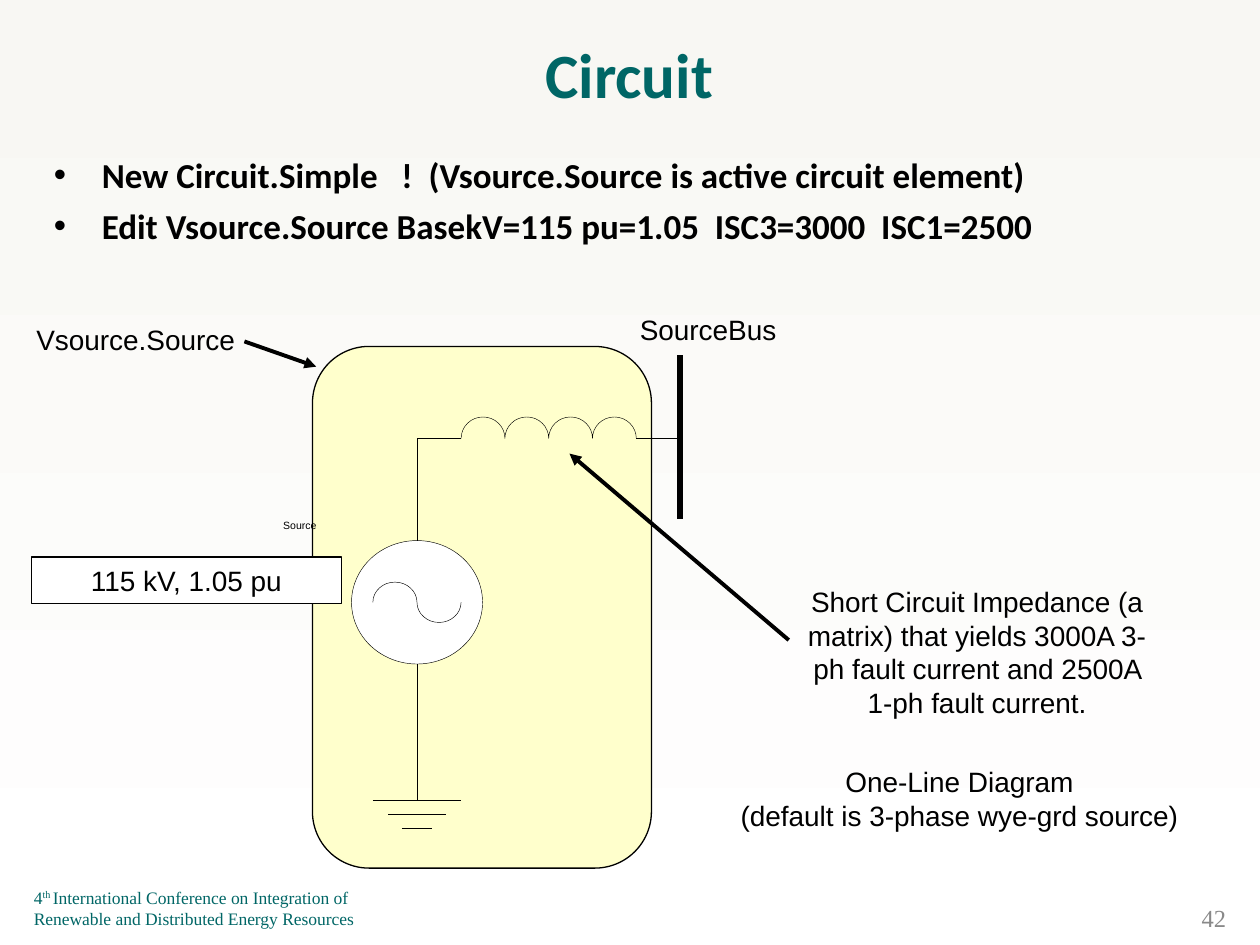
"""Builds the slide that explains the circuit source in a one-line diagram."""
from dataclasses import dataclass
from math import cos, pi, sin

from lxml.etree import SubElement
from pptx import Presentation
from pptx.dml.color import RGBColor
from pptx.enum.shapes import MSO_CONNECTOR as Link, MSO_SHAPE as Preset
from pptx.enum.text import MSO_ANCHOR as Anchor, PP_ALIGN as Align
from pptx.oxml.ns import qn
from pptx.util import Inches, Pt


@dataclass(frozen=True)
class Theme:
    ink: str = "000000"
    teal: str = "006666"
    grey: str = "898989"
    panel: str = "FFFFCC"
    white: str = "FFFFFF"
    cream: str = "F8F7F3"
    heading: str = "Calibri"
    label: str = "Arial"
    footer: str = "Times New Roman"
    thin: float = 0.25
    outline: float = 0.75
    arrow: float = 2.25
    bus: float = 3.37


THEME = Theme()
WIDTH, HEIGHT = 10, 7.5
TITLE = "Circuit"
COMMANDS = [
    "New Circuit.Simple   !  (Vsource.Source is active circuit element)",
    "Edit Vsource.Source BasekV=115 pu=1.05  ISC3=3000  ISC1=2500",
]
LABELS = [
    ("SourceBus", (4.39, 2.43, 2.46, 0.37), Align.CENTER),
    ("Vsource.Source", (0.19, 2.51, 2.46, 0.37), Align.LEFT),
    ("Short Circuit Impedance (a matrix) that yields 3000A 3-ph fault current "
     "and 2500A 1-ph fault current.", (6.23, 4.59, 3.05, 1.17), Align.CENTER),
    ("One-Line Diagram\v(default is 3-phase wye-grd source)",
     (5.54, 6.02, 4.15, 0.64), Align.CENTER),
]
RATING = ("115 kV, 1.05 pu", (0.25, 4.42, 2.46, 0.37))
CONFERENCE = [
    [("4", False), ("th ", True), ("International Conference on Integration of", False)],
    [("Renewable and Distributed Energy Resources", False)],
]
PAGE = "42"

AXIS, FEED, BUS = 3.31, 3.48, 5.4
PITCH, COIL_TURNS = 0.35, 4
SOURCE_Y, RADIUS_X, RADIUS_Y = 4.78, 0.52, 0.49
COIL_LEFT = AXIS + PITCH
COIL_RIGHT = COIL_LEFT + COIL_TURNS * PITCH - 0.01
GROUND_Y, GROUND_STEP, GROUND_HALVES = 6.35, 0.11, (0.35, 0.23, 0.12)
WIRES = [
    ((AXIS, FEED), (COIL_LEFT, FEED)),
    ((COIL_RIGHT, FEED), (BUS, FEED)),
    ((AXIS, FEED), (AXIS, SOURCE_Y - RADIUS_Y)),
    ((AXIS, SOURCE_Y + RADIUS_Y), (AXIS, GROUND_Y)),
] + [
    ((AXIS - half, GROUND_Y + row * GROUND_STEP), (AXIS + half, GROUND_Y + row * GROUND_STEP))
    for row, half in enumerate(GROUND_HALVES)
]
ARROWS = [((6.26, 5.08), (4.52, 3.6)), ((1.94, 2.71), (2.51, 2.91))]


def inches(values):
    return [Inches(value) for value in values]


def style(font, size, face, color, bold=False):
    font.size, font.name, font.bold = Pt(size), face, bold
    font.color.rgb = RGBColor.from_string(color)


def add_text(slide, text, area, size, face, color=THEME.ink, align=Align.LEFT, anchor=Anchor.TOP):
    frame = slide.shapes.add_textbox(*inches(area)).text_frame
    frame.word_wrap, frame.vertical_anchor = True, anchor
    frame.text = text
    for paragraph in frame.paragraphs:
        paragraph.alignment = align
        for run in paragraph.runs:
            style(run.font, size, face, color)
    return frame


def paint(shape, fill, width=THEME.outline):
    shape.shadow.inherit = False
    if fill:
        shape.fill.solid()
        shape.fill.fore_color.rgb = RGBColor.from_string(fill)
    else:
        shape.fill.background()
    shape.line.color.rgb = RGBColor.from_string(THEME.ink)
    shape.line.width = Pt(width)


def add_preset(slide, preset, area, fill, width=THEME.outline):
    shape = slide.shapes.add_shape(preset, *inches(area))
    paint(shape, fill, width)
    return shape


def add_wire(slide, start, end, width=THEME.thin, arrow=False):
    wire = slide.shapes.add_connector(Link.STRAIGHT, *inches(start + end))
    wire.line.color.rgb = RGBColor.from_string(THEME.ink)
    wire.line.width = Pt(width)
    if arrow:
        SubElement(wire.line._get_or_add_ln(), qn("a:tailEnd"), type="triangle")
    SubElement(wire._element.spPr, qn("a:effectLst"))


def add_wave(slide, left, baseline, right, rise, directions, steps=16):
    pitch = (right - left) / len(directions)
    points = [
        inches((left + pitch * (index + (1 - cos(pi * step / steps)) / 2),
                baseline - sign * rise * sin(pi * step / steps)))
        for index, sign in enumerate(directions)
        for step in range(steps + 1)
    ]
    outline = slide.shapes.build_freeform(*points[0])
    outline.add_line_segments(points[1:], close=False)
    paint(outline.convert_to_shape(), None, THEME.thin)


def add_background(slide):
    fill = slide.background.fill
    fill.gradient()
    fill.gradient_angle = 270
    for stop, color in zip(fill.gradient_stops, (THEME.cream, THEME.white)):
        stop.color.rgb = RGBColor.from_string(color)


def add_title(slide):
    title = slide.shapes.title
    title.left, title.top, title.width, title.height = inches((0.33, 0.17, 9.33, 0.83))
    title.text_frame.text = TITLE
    title.text_frame.vertical_anchor = Anchor.MIDDLE
    heading = title.text_frame.paragraphs[0]
    heading.alignment = Align.CENTER
    style(heading.runs[0].font, 36, THEME.heading, THEME.teal, bold=True)


def add_commands(slide):
    frame = add_text(slide, "\n".join(COMMANDS), (0.33, 1.17, 9.33, 0.9), 20, THEME.heading)
    for index, paragraph in enumerate(frame.paragraphs):
        properties = paragraph._p.get_or_add_pPr()
        properties.set("marL", str(Inches(0.38)))
        properties.set("indent", str(-Inches(0.38)))
        SubElement(properties, qn("a:buFont"), typeface=THEME.label)
        SubElement(properties, qn("a:buChar"), char="•")
        paragraph.space_before = Pt(5 if index else 0)
        paragraph.runs[0].font.bold = True


def add_footer(slide):
    lines = "\n".join("".join(text for text, _ in line) for line in CONFERENCE)
    frame = add_text(slide, lines, (0.17, 7, 3.17, 0.42), 10, THEME.footer, THEME.teal,
                     anchor=Anchor.BOTTOM)
    for paragraph, line in zip(frame.paragraphs, CONFERENCE):
        paragraph.text = ""
        for text, raised in line:
            run = paragraph.add_run()
            run.text = text
            style(run.font, 10, THEME.footer, THEME.teal)
            if raised:
                run.font._element.set("baseline", "30000")
    add_text(slide, PAGE, (8.83, 7.15, 1, 0.27), 14, THEME.footer, THEME.grey,
             Align.RIGHT, Anchor.MIDDLE)


def add_diagram(slide):
    add_preset(slide, Preset.ROUNDED_RECTANGLE, (2.48, 2.75, 2.69, 4.14), THEME.panel)
    add_preset(slide, Preset.OVAL, (AXIS - RADIUS_X, SOURCE_Y - RADIUS_Y, 2 * RADIUS_X,
                                    2 * RADIUS_Y), THEME.white, THEME.thin)
    add_wave(slide, AXIS - PITCH, SOURCE_Y, AXIS + PITCH, 0.16, (1, -1))
    add_wave(slide, COIL_LEFT, FEED, COIL_RIGHT, 0.17, (1,) * COIL_TURNS)
    for start, end in WIRES:
        add_wire(slide, start, end)
    add_wire(slide, (BUS, 2.82), (BUS, 4.12), THEME.bus)

    tag = add_text(slide, "Source", (2.01, 4.12, 0.74, 0.1), 6, THEME.label, align=Align.CENTER)
    tag.margin_left = tag.margin_right = tag.margin_top = tag.margin_bottom = 0
    for text, area, align in LABELS:
        add_text(slide, text, area, 16, THEME.label, align=align)

    text, area = RATING
    rating = add_preset(slide, Preset.RECTANGLE, area, THEME.white).text_frame
    rating.text = text
    rating.paragraphs[0].alignment = Align.CENTER
    style(rating.paragraphs[0].runs[0].font, 16, THEME.label, THEME.ink)
    for start, end in ARROWS:
        add_wire(slide, start, end, THEME.arrow, arrow=True)


def main():
    deck = Presentation()
    deck.slide_width, deck.slide_height = inches((WIDTH, HEIGHT))
    slide = deck.slides.add_slide(deck.slide_layouts[5])
    for build in (add_background, add_title, add_commands, add_diagram, add_footer):
        build(slide)
    deck.save("out.pptx")


if __name__ == "__main__":
    main()
